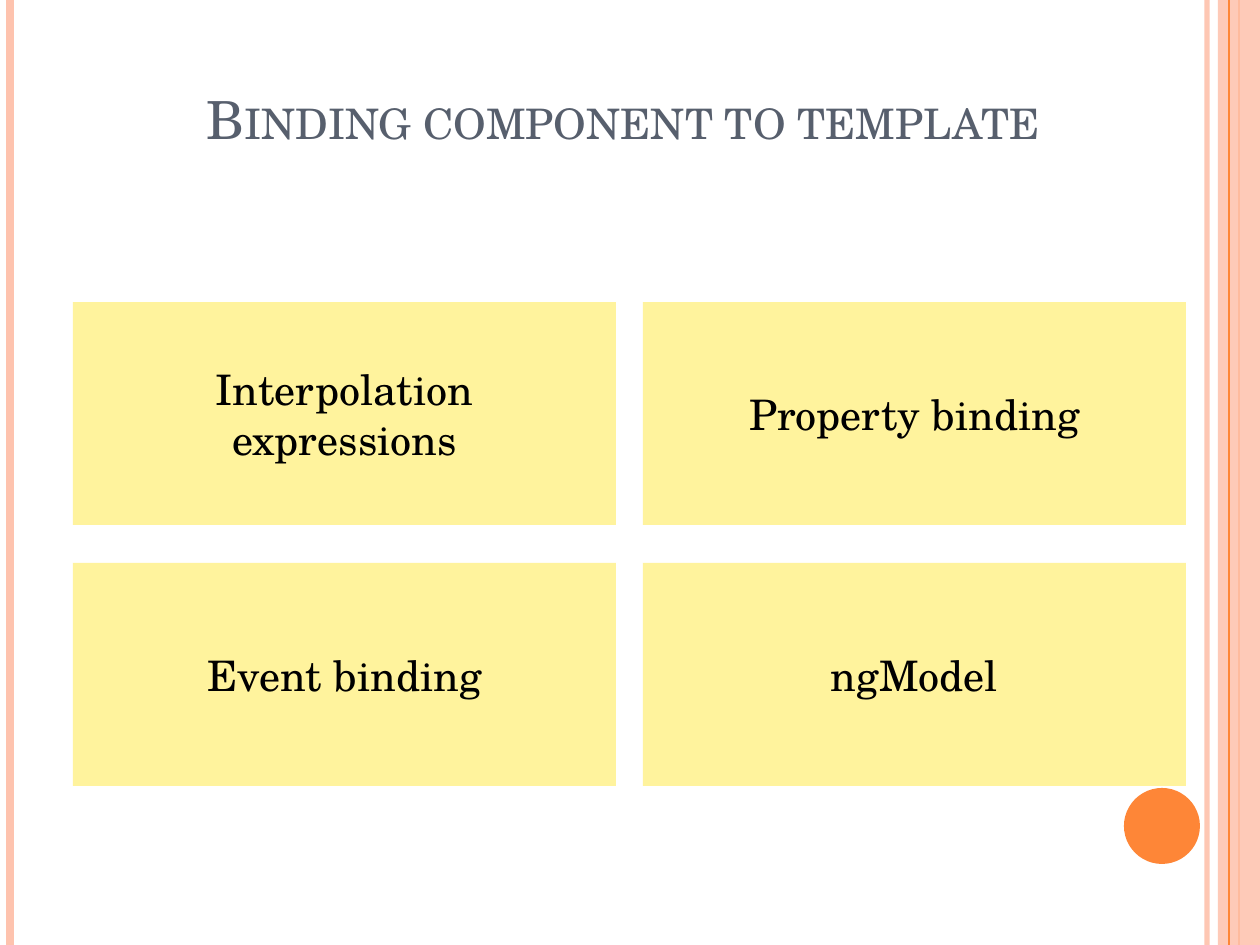
"""Build the slide about binding a component to its template."""
from dataclasses import dataclass

from lxml import etree
from pptx import Presentation
from pptx import util as u
from pptx.dml.color import RGBColor
from pptx.enum import shapes, text
from pptx.oxml import ns

SCALE = 914400 / 126
WIDTH, HEIGHT = 1260, 945


def px(length):
    return u.Emu(round(length * SCALE))


@dataclass(frozen=True)
class Theme:
    font: str = "TeX Gyre Schola"
    rose: str = "FEC3AE"
    orange: str = "FE8637"
    yellow: str = "FFF39D"
    slate: str = "575F6D"
    black: str = "000000"
    title_size: int = 30
    card_size: int = 24


class SlideBuilder:
    def __init__(self, page, theme):
        self.page = page
        self.theme = theme

    def set_opacity(self, element, percent):
        color = element.find(".//" + ns.qn("a:srgbClr"))
        etree.SubElement(color, ns.qn("a:alpha"), val=str(percent * 1000))

    def rule(self, x, color, weight, opacity=100):
        line = self.page.shapes.add_connector(
            shapes.MSO_CONNECTOR.STRAIGHT, px(x), 0, px(x), px(HEIGHT))
        line.line.width = u.Pt(weight)
        line.line.fill.solid()
        line.line.color.rgb = RGBColor.from_string(color)
        if opacity < 100:
            self.set_opacity(line._element.spPr, opacity)
        etree.SubElement(line._element.spPr, ns.qn("a:effectLst"))

    def shape(self, kind, bounds, color, opacity=100):
        box = self.page.shapes.add_shape(kind, *map(px, bounds))
        box.shadow.inherit = False
        box.fill.solid()
        box.fill.fore_color.rgb = RGBColor.from_string(color)
        if opacity < 100:
            self.set_opacity(box._element.spPr, opacity)
        box.line.fill.background()
        return box

    def label(self, box, words, size, color, margins, anchor, before=0):
        frame = box.text_frame
        sides = ("margin_left", "margin_top", "margin_right", "margin_bottom")
        frame_format = dict(zip(sides, map(px, margins)))
        frame_format.update(word_wrap=True, vertical_anchor=anchor)
        para = frame.paragraphs[0]
        span = para.add_run()
        formats = (
            (frame, frame_format),
            (para, {"alignment": text.PP_ALIGN.CENTER,
                    "space_before": u.Pt(before)}),
            (span, {"text": words}),
            (span.font, {"name": self.theme.font, "size": u.Pt(size)}),
            (span.font.color, {"rgb": RGBColor.from_string(color)}),
        )
        for target, values in formats:
            for name, value in values.items():
                setattr(target, name, value)
        return span

    def card(self, bounds, words):
        box = self.shape(shapes.MSO_SHAPE.RECTANGLE, bounds, self.theme.yellow)
        self.label(box, words, self.theme.card_size, self.theme.black,
                   (38, 38, 38, 38), text.MSO_ANCHOR.MIDDLE, before=6)

    def title(self, bounds, words):
        box = self.page.shapes.add_textbox(*map(px, bounds))
        span = self.label(box, words, self.theme.title_size, self.theme.slate,
                          (0, 6, 13, 6), text.MSO_ANCHOR.TOP)
        span._r.get_or_add_rPr().set("cap", "small")


def main():
    deck = Presentation()
    deck.slide_width, deck.slide_height = px(WIDTH), px(HEIGHT)
    theme = Theme()
    builder = SlideBuilder(deck.slides.add_slide(deck.slide_layouts[6]), theme)

    builder.rule(1207, theme.rose, 3, opacity=93)
    builder.rule(10, theme.rose, 4.5)
    builder.rule(1239, theme.orange, 1.5)
    builder.shape(shapes.MSO_SHAPE.RECTANGLE, (1218, 0, 42, HEIGHT),
                  theme.rose, opacity=87)
    builder.rule(1229, theme.orange, 0.75)
    builder.shape(shapes.MSO_SHAPE.OVAL, (1124, 788, 76, 76), theme.orange)

    left, top, width, height = 73, 302, 543, 223
    column_gap, row_gap = 27, 38
    topics = ("Interpolation expressions", "Property binding",
              "Event binding", "ngModel")
    for index, topic in enumerate(topics):
        row, column = divmod(index, 2)
        builder.card((left + column * (width + column_gap),
                      top + row * (height + row_gap), width, height), topic)

    builder.title((73, 81, 1114, 60), "Binding component to template")
    deck.save("out.pptx")


if __name__ == "__main__":
    main()
